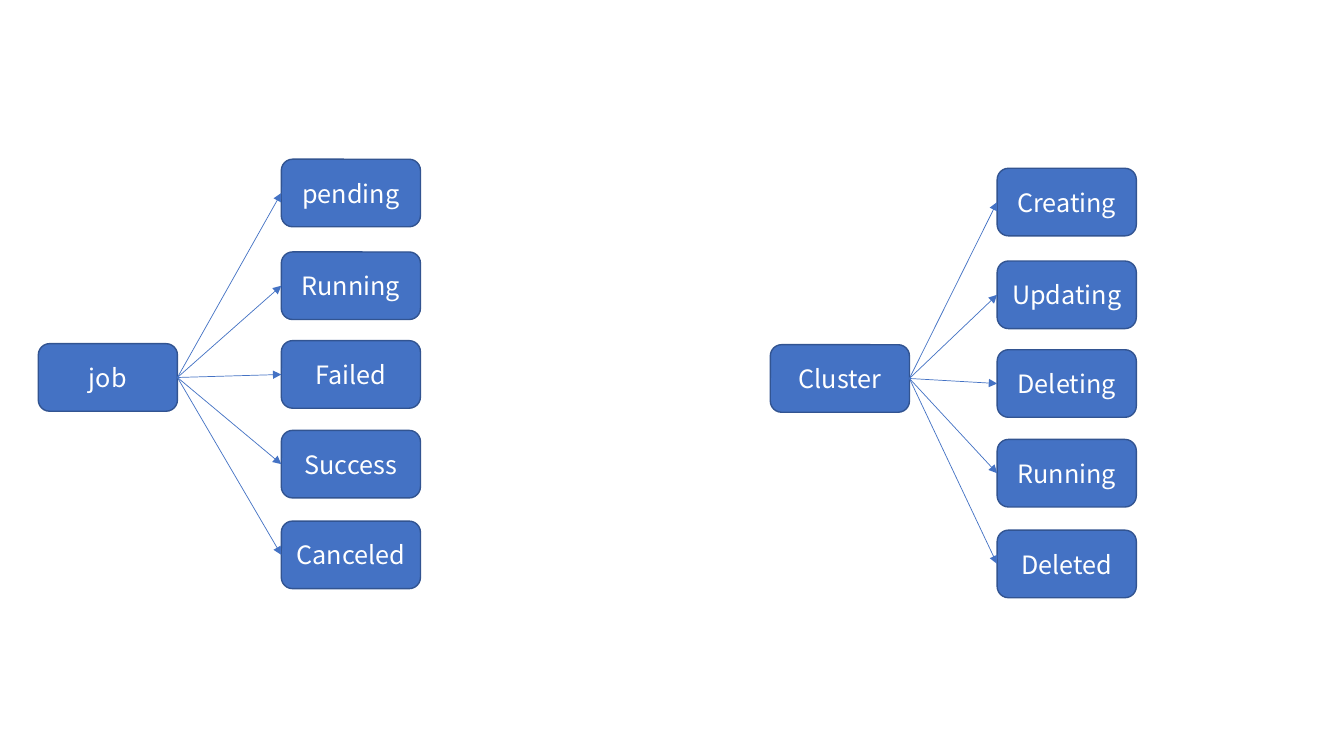
from dataclasses import dataclass

from lxml.etree import SubElement
from pptx import Presentation
from pptx.dml.color import RGBColor
from pptx.enum.shapes import MSO_CONNECTOR, MSO_SHAPE
from pptx.enum.text import MSO_ANCHOR, PP_ALIGN
from pptx.oxml.ns import qn
from pptx.util import Inches, Pt


@dataclass(frozen=True)
class Theme:
    """Colours, type and line sizes of the slide."""
    fill: RGBColor = RGBColor(0x44, 0x72, 0xC4)
    border: RGBColor = RGBColor(0x32, 0x54, 0x91)
    text: RGBColor = RGBColor(0xFF, 0xFF, 0xFF)
    font: str = "Noto Sans CJK SC"
    text_size: float = 18
    border_width: float = 1
    arrow_width: float = 0.5


THEME = Theme()
NODE_WIDTH, NODE_HEIGHT = 1.38, 0.67
STATE_OFFSETS = (0, 0.92, 1.8, 2.69, 3.59)
LEFT_SITE, RIGHT_SITE = 1, 3


def add_node(page, left, top, label):
    """Add a rounded box with a centred label."""
    node = page.shapes.add_shape(
        MSO_SHAPE.ROUNDED_RECTANGLE, Inches(left), Inches(top),
        Inches(NODE_WIDTH), Inches(NODE_HEIGHT))
    node.shadow.inherit = False
    node.fill.solid()
    node.fill.fore_color.rgb = THEME.fill
    node.line.color.rgb = THEME.border
    node.line.width = Pt(THEME.border_width)
    frame = node.text_frame
    frame.word_wrap = True
    frame.vertical_anchor = MSO_ANCHOR.MIDDLE
    para = frame.paragraphs[0]
    para.alignment = PP_ALIGN.CENTER
    span = para.add_run()
    span.text = label
    span.font.name = THEME.font
    span.font.size = Pt(THEME.text_size)
    span.font.color.rgb = THEME.text
    properties = span.font._element
    SubElement(properties, qn("a:ea"), typeface=THEME.font)
    return node


def add_arrow(page, source, target):
    """Join the right side of source to the left side of target."""
    arrow = page.shapes.add_connector(MSO_CONNECTOR.STRAIGHT, 0, 0, 0, 0)
    arrow.begin_connect(source, RIGHT_SITE)
    arrow.end_connect(target, LEFT_SITE)
    arrow.line.color.rgb = THEME.fill
    arrow.line.width = Pt(THEME.arrow_width)
    SubElement(arrow.line._get_or_add_ln(), qn("a:tailEnd"), type="triangle")
    SubElement(arrow._element.spPr, qn("a:effectLst"))


def add_state_tree(page, box, root_drop, subject, states):
    """Fan a subject out to its states inside box (left, top, width)."""
    left, top, width = box
    root = add_node(page, left, top + root_drop, subject)
    state_left = left + width - NODE_WIDTH
    for offset, state in zip(STATE_OFFSETS, states):
        add_arrow(page, root, add_node(page, state_left, top + offset, state))


def build_states_slide(deck):
    """Add the slide with the job and cluster states."""
    blank_layout = deck.slide_layouts[6]
    page = deck.slides.add_slide(blank_layout)
    add_state_tree(page, (0.38, 1.58, 3.79), 1.83, "job",
                   ("pending", "Running", "Failed", "Success", "Canceled"))
    add_state_tree(page, (7.64, 1.67, 3.63), 1.75, "Cluster",
                   ("Creating", "Updating", "Deleting", "Running", "Deleted"))


deck = Presentation()
deck.slide_width, deck.slide_height = Inches(13.33), Inches(7.5)
build_states_slide(deck)
deck.save("out.pptx")
